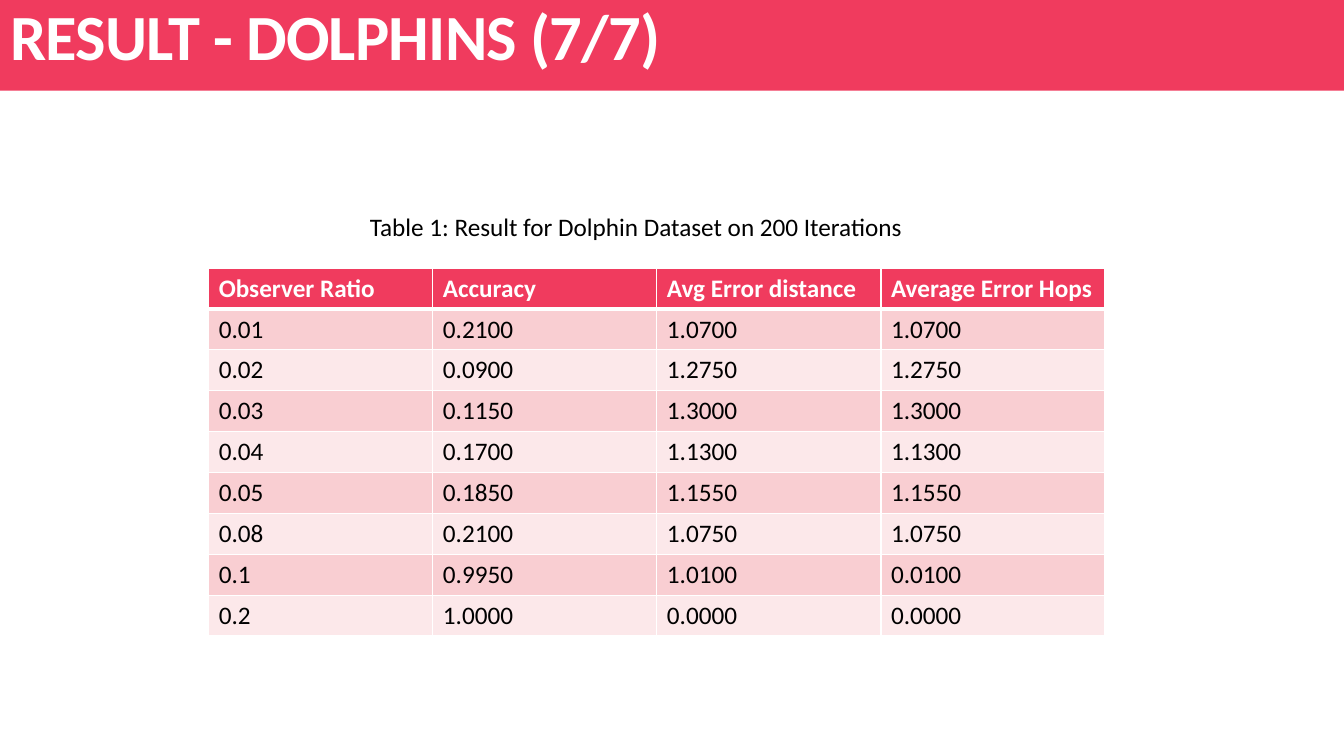
from lxml import etree
from pptx import Presentation
from pptx.dml.color import RGBColor
from pptx.enum.text import MSO_ANCHOR, MSO_AUTO_SIZE, PP_ALIGN
from pptx.oxml.ns import qn
from pptx.util import Inches, Pt

LEFT, TOP, FIXED = PP_ALIGN.LEFT, MSO_ANCHOR.TOP, MSO_AUTO_SIZE.NONE

# Content
TITLE = "RESULT - DOLPHINS (7/7)"
CAPTION = "Table 1: Result for Dolphin Dataset on 200 Iterations"
ROWS = [
    ("Observer Ratio", "Accuracy", "Avg Error distance", "Average Error Hops"),
    ("0.01", "0.2100", "1.0700", "1.0700"),
    ("0.02", "0.0900", "1.2750", "1.2750"),
    ("0.03", "0.1150", "1.3000", "1.3000"),
    ("0.04", "0.1700", "1.1300", "1.1300"),
    ("0.05", "0.1850", "1.1550", "1.1550"),
    ("0.08", "0.2100", "1.0750", "1.0750"),
    ("0.1", "0.9950", "1.0100", "0.0100"),
    ("0.2", "1.0000", "0.0000", "0.0000"),
]

# Theme
THEME = {
    "font": "Calibri", "title": Pt(46), "body": Pt(18),
    "accent": "F03B5E", "bands": ("FCE8EA", "F9CED2"),
    "light": "FFFFFF", "dark": "000000",
    "thin": Pt(1), "thick": Pt(3),
}

# Places: left, top, width, height
BAR = [Inches(n) for n in (0, 0, 13.33, 0.9)]
LABEL = [Inches(n) for n in (3.57, 2.05, 5.66, 0.4)]
GRID = [Inches(n) for n in (2.07, 2.66, 8.89, 3.65)]


def paint(fill, color):
    fill.solid()
    fill.fore_color.rgb = RGBColor.from_string(color)


def place(shape, box):
    for name, value in zip(("left", "top", "width", "height"), box):
        setattr(shape, name, value)


def write(frame, text, size, color, bold=False):
    para = frame.paragraphs[0]
    para.alignment = LEFT
    run = para.add_run()
    run.text = text
    form = {"name": THEME["font"], "size": size, "bold": bold}
    for name, value in form.items():
        setattr(run.font, name, value)
    run.font.color.rgb = RGBColor.from_string(color)
    return run


def edge(cell, row):
    """Draw white cell borders, thick between header and body."""
    props = cell._tc.get_or_add_tcPr()
    heavy = {(0, "lnB"), (1, "lnT")}
    for side in ("lnL", "lnR", "lnT", "lnB"):
        width = THEME["thick" if (row, side) in heavy else "thin"]
        line = etree.SubElement(props, qn("a:" + side), w=str(int(width)))
        fill = etree.SubElement(line, qn("a:solidFill"))
        etree.SubElement(fill, qn("a:srgbClr"), val=THEME["light"])


def add_title(slide):
    title = slide.shapes.title
    place(title, BAR)
    paint(title.fill, THEME["accent"])
    frame = title.text_frame
    form = {"vertical_anchor": TOP, "auto_size": FIXED, "word_wrap": True}
    for name, value in form.items():
        setattr(frame, name, value)
    run = write(frame, TITLE, THEME["title"], THEME["light"], True)
    run.font._element.set("spc", "-50")
    frame.paragraphs[0].line_spacing = 0.9


def add_grid(slide):
    table = slide.shapes.add_table(len(ROWS), len(ROWS[0]), *GRID).table
    for col in table.columns:
        col.width = GRID[2] // len(ROWS[0])
    for line in table.rows:
        line.height = GRID[3] // len(ROWS)
    for r, row in enumerate(ROWS):
        head = r == 0
        back = THEME["accent"] if head else THEME["bands"][r % 2]
        ink = THEME["light" if head else "dark"]
        for c, text in enumerate(row):
            cell = table.cell(r, c)
            edge(cell, r)
            paint(cell.fill, back)
            write(cell.text_frame, text, THEME["body"], ink, head)


def add_label(slide):
    frame = slide.shapes.add_textbox(*LABEL).text_frame
    frame.word_wrap = True
    write(frame, CAPTION, THEME["body"], THEME["dark"])


def main():
    deck = Presentation()
    deck.slide_width, deck.slide_height = Inches(13.33), Inches(7.5)
    slide = deck.slides.add_slide(deck.slide_layouts[5])
    add_title(slide)
    add_grid(slide)
    add_label(slide)
    deck.save("out.pptx")


if __name__ == "__main__":
    main()
